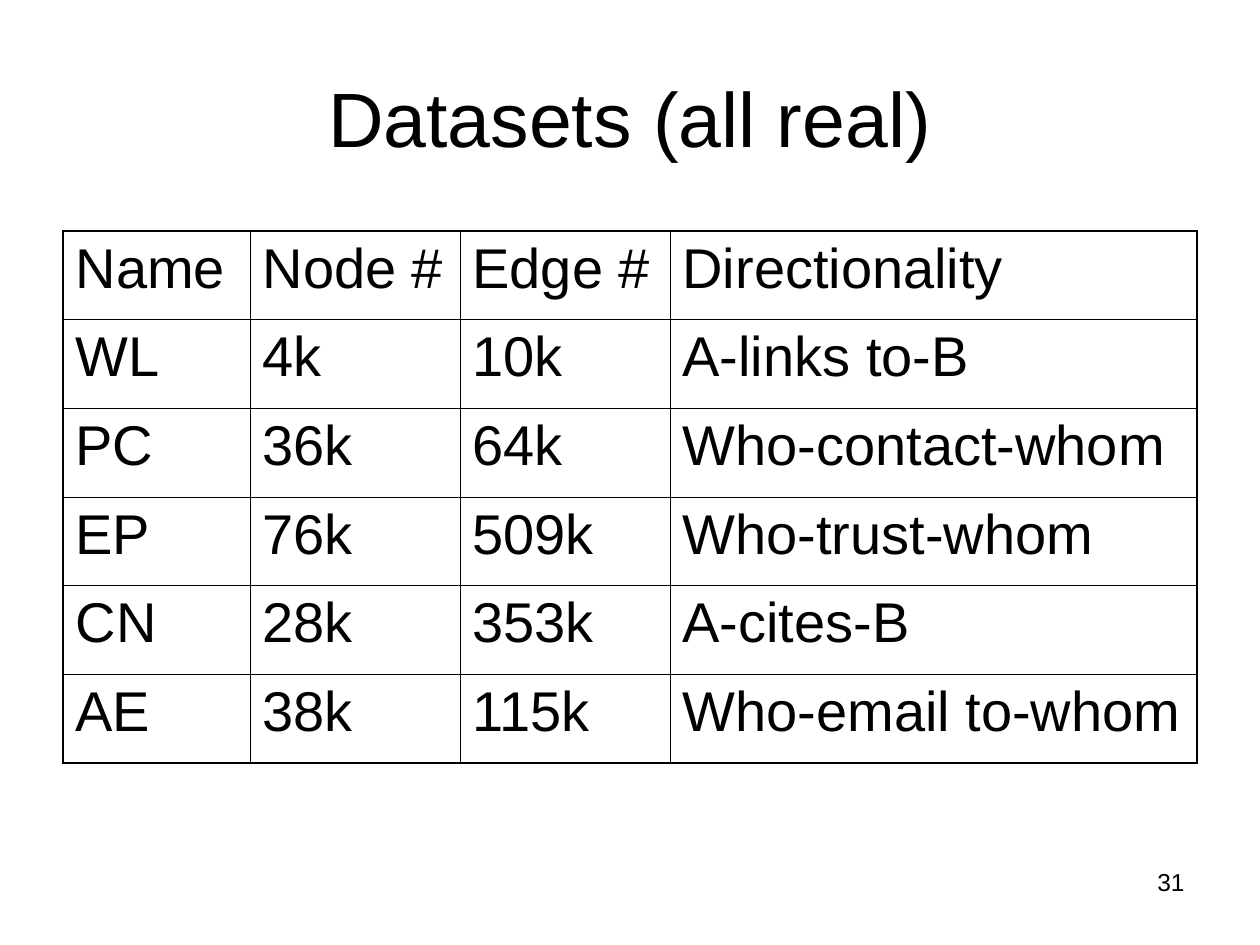
from lxml import etree
from pptx import Presentation
from pptx.dml.color import RGBColor
from pptx.enum.text import MSO_ANCHOR, PP_ALIGN
from pptx.oxml.ns import qn
from pptx.util import Emu, Pt

LEFT, CENTER, RIGHT = PP_ALIGN.LEFT, PP_ALIGN.CENTER, PP_ALIGN.RIGHT
TOP, MIDDLE = MSO_ANCHOR.TOP, MSO_ANCHOR.MIDDLE

TITLE = "Datasets (all real)"
PAGE_NUMBER = "31"
DATASETS = [
    ("Name", "Node #", "Edge #", "Directionality"),
    ("WL", "4k", "10k", "A-links to-B"),
    ("PC", "36k", "64k", "Who-contact-whom"),
    ("EP", "76k", "509k", "Who-trust-whom"),
    ("CN", "28k", "353k", "A-cites-B"),
    ("AE", "38k", "115k", "Who-email to-whom"),
]
COLUMN_WIDTHS = [187, 210, 210, 527]
TABLE_LEFT, TABLE_TOP, TABLE_HEIGHT = 63, 231, 532
BLACK, WHITE = "000000", "FFFFFF"
OUTER_LINE, INNER_LINE = 1.08, 0.45
SCALE = 914400 / 126


def px(length):
    return Emu(round(length * SCALE))


def color(value):
    return RGBColor.from_string(value)


def write(frame, text, size, align=LEFT, anchor=TOP, before=0):
    frame.word_wrap = True
    frame.vertical_anchor = anchor
    para = frame.paragraphs[0]
    para.alignment = align
    para.space_before = Pt(before)
    span = para.add_run()
    span.text = text
    span.font.size = Pt(size)
    span.font.name = "Arial"
    span.font.color.rgb = color(BLACK)


def draw_borders(cell, outer_sides):
    properties = cell._tc.get_or_add_tcPr()
    for side in "LRTB":
        width = OUTER_LINE if side in outer_sides else INNER_LINE
        line = etree.SubElement(properties, qn(f"a:ln{side}"), w=str(Pt(width)))
        fill = etree.SubElement(line, qn("a:solidFill"))
        etree.SubElement(fill, qn("a:srgbClr"), val=BLACK)


def add_dataset_table(page):
    row_count, column_count = len(DATASETS), len(COLUMN_WIDTHS)
    table = page.shapes.add_table(
        row_count, column_count, px(TABLE_LEFT), px(TABLE_TOP),
        px(sum(COLUMN_WIDTHS)), px(TABLE_HEIGHT)).table
    table.first_row = False
    table.horz_banding = False
    for column, width in zip(table.columns, COLUMN_WIDTHS):
        column.width = px(width)
    for r, values in enumerate(DATASETS):
        table.rows[r].height = px(TABLE_HEIGHT / row_count)
        for c, value in enumerate(values):
            cell = table.cell(r, c)
            edges = {"L": c == 0, "R": c == column_count - 1,
                     "T": r == 0, "B": r == row_count - 1}
            draw_borders(cell, [side for side, outer in edges.items() if outer])
            cell.fill.background()
            write(cell.text_frame, value, 32, before=8)


def main():
    deck = Presentation()
    deck.slide_width, deck.slide_height = px(1260), px(945)
    page = deck.slides.add_slide(deck.slide_layouts[5])
    page.background.fill.solid()
    page.background.fill.fore_color.rgb = color(WHITE)

    title = page.shapes.title
    title.left, title.top, title.width, title.height = map(px, (63, 38, 1134, 157))
    write(title.text_frame, TITLE, 44, align=CENTER, anchor=MIDDLE)

    add_dataset_table(page)

    number_box = page.shapes.add_textbox(*map(px, (903, 861, 294, 66)))
    write(number_box.text_frame, PAGE_NUMBER, 14, align=RIGHT)

    deck.save("out.pptx")


if __name__ == "__main__":
    main()
